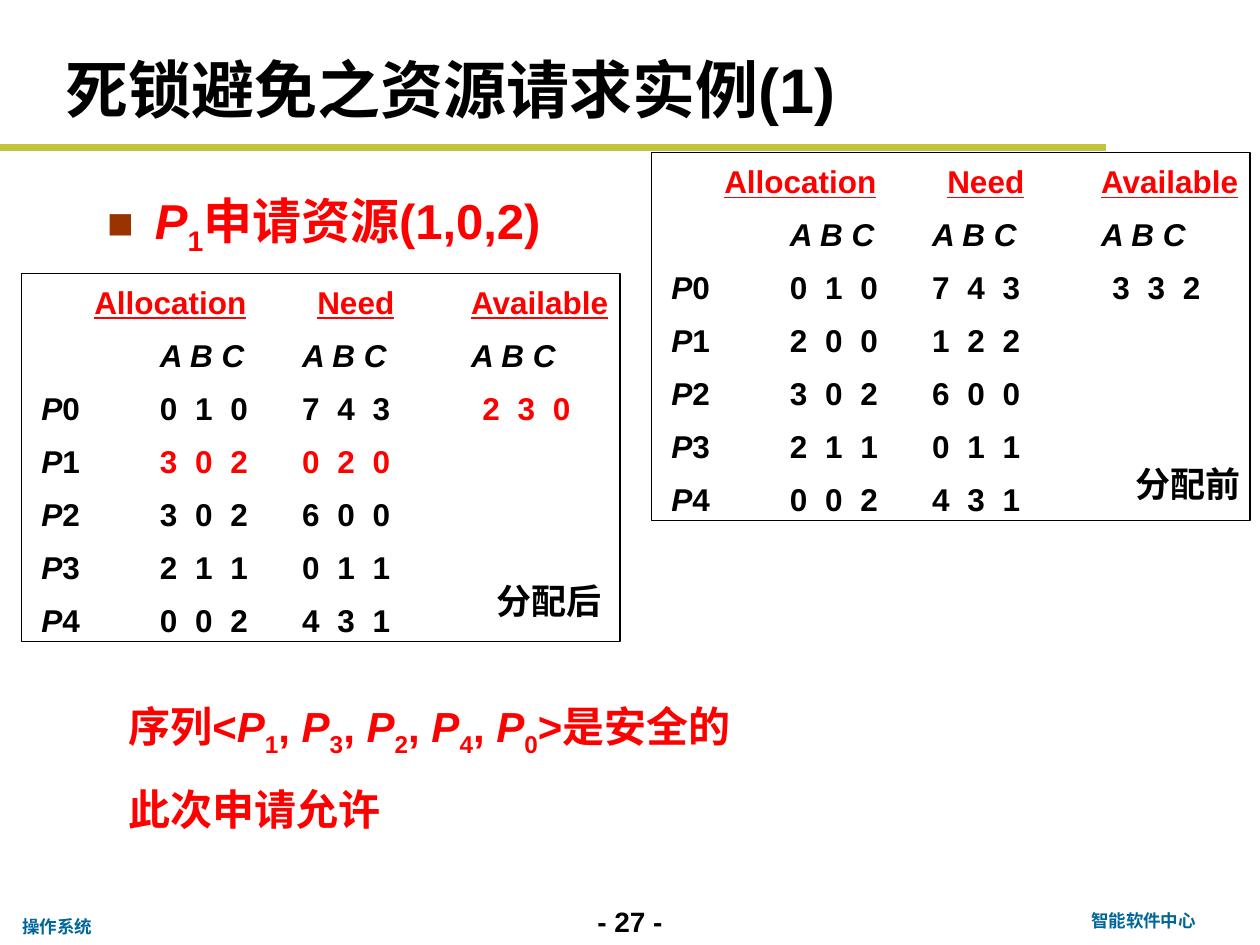
from lxml import etree
from pptx import Presentation
from pptx import util as u
from pptx.dml.color import RGBColor
from pptx.enum import shapes, text
from pptx.oxml.ns import qn

Inches, color = u.Inches, RGBColor.from_string
RED, BLACK, BLUE = "FF0000", "000000", "006699"


def add_runs(paragraph, parts, size, hex_color):
    """Write (text, format) parts as bold Arial runs."""
    for content, extra in parts:
        run = paragraph.add_run()
        run.text = content
        formats = {"name": "Arial", "size": u.Pt(size), "bold": True, **extra}
        run_color = formats.pop("color", hex_color)
        baseline = formats.pop("baseline", None)
        for name, value in formats.items():
            setattr(run.font, name, value)
        run.font.color.rgb = color(run_color)
        if baseline:
            run._r.get_or_add_rPr().set("baseline", str(baseline))


def add_text(left, top, width, height, parts=(), size=18, hex_color=BLACK):
    """Add a wrapping text box and return its text frame."""
    box = slide.shapes.add_textbox(*map(Inches, (left, top, width, height)))
    box.text_frame.word_wrap = True
    add_runs(box.text_frame.paragraphs[0], parts, size, hex_color)
    return box.text_frame


presentation = Presentation()
presentation.slide_width, presentation.slide_height = Inches(10), Inches(7.5)
slide = presentation.slides.add_slide(presentation.slide_layouts[1])
ITALIC, SUBSCRIPT = {"italic": True}, {"baseline": -25000}

# Title and request placeholders
title, request = slide.shapes.title, slide.placeholders[1]
for shape, area, anchor in (
    (title, (0.42, 0.33, 8.58, 0.74), text.MSO_ANCHOR.MIDDLE),
    (request, (0.75, 1.3, 3.83, 0.95), text.MSO_ANCHOR.TOP),
):
    shape.left, shape.top, shape.width, shape.height = map(Inches, area)
    frame_format = {"auto_size": text.MSO_AUTO_SIZE.NONE, "word_wrap": True,
                    "vertical_anchor": anchor}
    for name, value in frame_format.items():
        setattr(shape.text_frame, name, value)
    shape.text_frame.paragraphs[0].alignment = text.PP_ALIGN.LEFT
add_runs(title.text_frame.paragraphs[0], [("死锁避免之资源请求实例(1)", {})], 36, BLACK)

# Request with a square bullet
paragraph = request.text_frame.paragraphs[0]
paragraph.line_spacing, paragraph.space_before = 1.3, u.Pt(0)
properties = paragraph._p.get_or_add_pPr()
properties.set("marL", str(Inches(0.38)))
properties.set("indent", str(Inches(-0.38)))
bullet_color = etree.SubElement(properties, qn("a:buClr"))
etree.SubElement(bullet_color, qn("a:srgbClr"), val="993300")
etree.SubElement(properties, qn("a:buSzPct"), val="90000")
etree.SubElement(properties, qn("a:buFont"), typeface="Arial")
etree.SubElement(properties, qn("a:buChar"), char="■")
add_runs(paragraph, [("P", ITALIC), ("1", SUBSCRIPT), ("申请资源(1,0,2)", {})], 28, RED)

# Line under the title
rule = slide.shapes.add_connector(
    shapes.MSO_CONNECTOR.STRAIGHT, Inches(0), Inches(1.17), Inches(8.78), Inches(1.17))
rule.line.color.rgb, rule.line.width = color("C1C43C"), u.Pt(4)
etree.SubElement(rule._element.spPr, qn("a:effectLst"))

# Allocation states: (box corner, label, label corner, rows, red groups by row)
before = ["010 743 332", "200 122", "302 600", "211 011", "002 431"]
after = ["010 743 230", "302 020", "302 600", "211 011", "002 431"]
states = [
    ((4.17, 1.12), "分配前", (8.91, 3.62), before, {}),
    ((-0.83, 2.08), "分配后", (3.84, 4.55), after, {0: [2], 1: [0, 1]}),
]
header_stops, letter_stops = [1.48, 3.25, 4.47], [2, 3.13, 4.47]
digit_stops = [1.06] + [start + 0.28 * i for start in (2, 3.13, 4.56) for i in range(3)]

for (left, top), label, label_corner, rows, red_groups in states:
    frame = add_text(left, top, 6.17, 3.04)
    lines = [
        (header_stops, [("\t", {}), ("Allocation\tNeed\tAvailable",
                                     {"color": RED, "underline": True})]),
        (letter_stops, [("\tA B C" * 3, ITALIC)]),
    ]
    for number, row in enumerate(rows):
        parts = [("\tP", ITALIC), (str(number), {})]
        for group, digits in enumerate(row.split()):
            is_red = group in red_groups.get(number, [])
            parts.append(("\t" + "\t".join(digits), {"color": RED if is_red else BLACK}))
        lines.append((digit_stops, parts))
    for index, (stops, parts) in enumerate(lines):
        paragraph = frame.add_paragraph() if index else frame.paragraphs[0]
        paragraph.line_spacing = 1.4
        tabs = etree.SubElement(paragraph._p.get_or_add_pPr(), qn("a:tabLst"))
        for stop in stops:
            etree.SubElement(tabs, qn("a:tab"), pos=str(Inches(stop)), algn="l")
        add_runs(paragraph, parts, 18, BLACK)
    border = slide.shapes.add_shape(
        shapes.MSO_SHAPE.RECTANGLE, Inches(left + 1), Inches(top + 0.09),
        Inches(4.75), Inches(2.92))
    border.shadow.inherit = False
    border.fill.background()
    border.line.color.rgb, border.line.width = color(BLACK), u.Pt(0.75)
    add_text(*label_corner, 1.05, 0.44, [(label, {})], 20)

# Conclusions
sequence = [("序列<", {})]
for position, process in enumerate("13240"):
    if position:
        sequence.append((", ", {}))
    sequence += [("P", ITALIC), (process, SUBSCRIPT)]
sequence.append((">是安全的", {}))
for top, parts in ((5.42, sequence), (6.09, [("此次申请允许", {})])):
    paragraph = add_text(0.42, top, 5.75, 0.58, parts, 24, RED).paragraphs[0]
    paragraph.line_spacing = 1.2
    paragraph._p.get_or_add_pPr().set("marL", str(Inches(0.5)))

# Footer
for area, content, size, hex_color, alignment in (
    ((0.08, 7.22, 0.8, 0.27), "操作系统", 10, BLUE, text.PP_ALIGN.LEFT),
    ((4.5, 7.13, 1, 0.37), "- 27 -", 16, BLACK, text.PP_ALIGN.CENTER),
    ((8.25, 7.17, 1.65, 0.27), "智能软件中心", 10, BLUE, text.PP_ALIGN.CENTER),
):
    add_text(*area, [(content, {})], size, hex_color).paragraphs[0].alignment = alignment

presentation.save("out.pptx")
